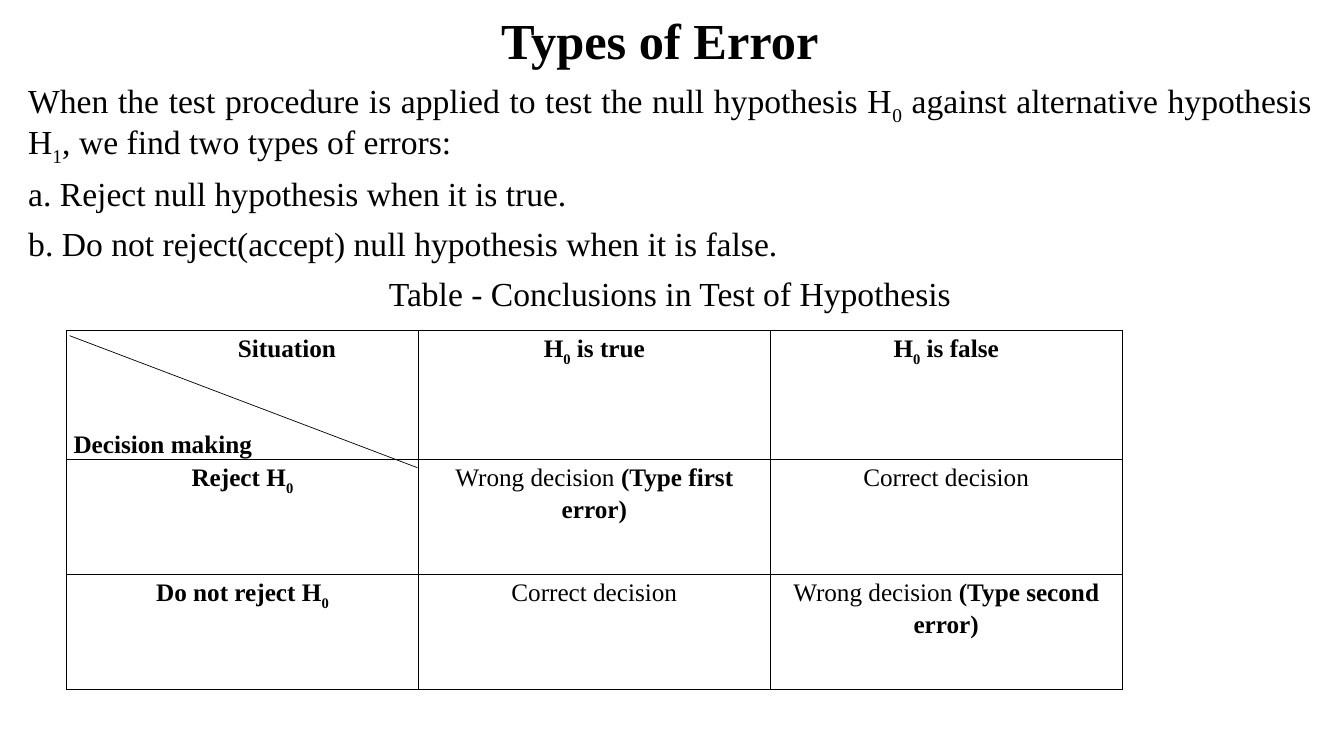
from lxml.etree import SubElement
from pptx import Presentation
from pptx.dml.color import RGBColor
from pptx.enum.shapes import MSO_CONNECTOR
from pptx.enum.text import MSO_ANCHOR as Anchor, MSO_AUTO_SIZE as AutoSize, PP_ALIGN as Align
from pptx.oxml.ns import qn
from pptx.util import Inches, Pt

BLACK = RGBColor(0, 0, 0)
FONT = "Times New Roman"
COLUMN_WIDTH = 3.49
ROW_HEIGHTS = [1.28, 1.14, 1.14]
TABLE_LEFT, TABLE_TOP = 0.66, 3.28

# In texts, "|" separates runs; a leading "_" marks a subscript, "*" a bold run
INTRODUCTION = [
    ("When the test procedure is applied to test the null hypothesis H|_0"
     "| against alternative hypothesis H|_1|, we find two types of errors:", Align.JUSTIFY),
    ("a. Reject null hypothesis when it is true.", Align.JUSTIFY),
    ("b. Do not reject(accept) null hypothesis when it is false.", Align.JUSTIFY),
    ("Table - Conclusions in Test of Hypothesis", Align.CENTER),
]
DECISIONS = [
    ["", "*H|*_0|* is true", "*H|*_0|* is false"],
    ["*Reject H|*_0", "Wrong decision |*(Type first error)", "Correct decision"],
    ["*Do not reject H|*_0", "Correct decision", "Wrong decision |*(Type second error)"],
]


def apply_format(target, values):
    for name, value in values.items():
        setattr(target, name, value)


def write_paragraph(paragraph, text, size, **layout):
    apply_format(paragraph, layout)
    for piece in text.split("|"):
        bold = piece.startswith("*")
        piece = piece.removeprefix("*")
        run = paragraph.add_run()
        run.text = piece.removeprefix("_")
        apply_format(run.font, {"name": FONT, "size": Pt(size), "bold": bold})
        run.font.color.rgb = BLACK
        if piece.startswith("_"):
            run._r.get_or_add_rPr().set("baseline", "-25000")


def write_paragraphs(frame, lines, size, **layout):
    for index, (text, alignment) in enumerate(lines):
        paragraph = frame.add_paragraph() if index else frame.paragraphs[0]
        write_paragraph(paragraph, text, size, alignment=alignment, **layout)


def place(shape, left, top, width, height):
    apply_format(shape, {"left": Inches(left), "top": Inches(top),
                         "width": Inches(width), "height": Inches(height)})


def fill_placeholder(shape, box, lines, size, frame_format, **layout):
    place(shape, *box)
    apply_format(shape.text_frame, {"word_wrap": True, "auto_size": AutoSize.NONE, **frame_format})
    write_paragraphs(shape.text_frame, lines, size, line_spacing=0.9, **layout)


def format_cell(cell):
    apply_format(cell, {"margin_left": Inches(0.07), "margin_right": Inches(0.07),
                        "margin_top": 0, "margin_bottom": 0})
    properties = cell._tc.get_or_add_tcPr()
    for side in ("lnL", "lnR", "lnT", "lnB"):
        border = SubElement(properties, qn(f"a:{side}"), w=str(Pt(1)))
        fill = SubElement(border, qn("a:solidFill"))
        SubElement(fill, qn("a:srgbClr"), val=str(BLACK))
    cell.fill.background()


def write_corner(cell):
    """Write both headings of the divided corner cell."""
    write_paragraphs(cell.text_frame, [("*Situation", Align.LEFT), ("*Decision making", Align.LEFT)],
                     18, line_spacing=1.15)
    situation, decision = cell.text_frame.paragraphs
    situation._p.get_or_add_pPr().set("marL", str(Inches(1.63)))
    decision.space_before = Pt(46)


def add_decision_table(slide):
    frame = slide.shapes.add_table(
        len(DECISIONS), len(DECISIONS[0]), Inches(TABLE_LEFT), Inches(TABLE_TOP),
        Inches(COLUMN_WIDTH * len(DECISIONS[0])), Inches(sum(ROW_HEIGHTS)))
    table = frame.table
    apply_format(table, {"first_row": False, "horz_banding": False})
    for column in table.columns:
        column.width = Inches(COLUMN_WIDTH)
    for row, height, texts in zip(table.rows, ROW_HEIGHTS, DECISIONS):
        row.height = Inches(height)
        for cell, text in zip(row.cells, texts):
            format_cell(cell)
            if text:
                write_paragraphs(cell.text_frame, [(text, Align.CENTER)], 18, line_spacing=1.15)
    write_corner(table.cell(0, 0))


def add_diagonal(slide, start, end):
    ends = [Inches(value) for value in (*start, *end)]
    line = slide.shapes.add_connector(MSO_CONNECTOR.STRAIGHT, *ends)
    line.line.color.rgb = BLACK
    line.line.width = Pt(0.5)
    SubElement(line._element.spPr, qn("a:effectLst"))


def main():
    presentation = Presentation()
    apply_format(presentation, {"slide_width": Inches(13.33), "slide_height": Inches(7.5)})
    slide = presentation.slides.add_slide(presentation.slide_layouts[0])
    title, body = slide.placeholders

    # Title and introduction; the wider right margin moves the title left
    fill_placeholder(title, (1.67, 0.08, 10, 0.67), [("*Types of Error", Align.CENTER)], 36,
                     {"vertical_anchor": Anchor.BOTTOM, "margin_right": Inches(0.35)})
    fill_placeholder(body, (0.18, 0.75, 12.93, 6.44), INTRODUCTION, 24,
                     {"vertical_anchor": Anchor.TOP}, space_before=Pt(10))

    # Table with its divided corner
    add_decision_table(slide)
    add_diagonal(slide, (0.69, 3.33), (4.14, 4.64))
    presentation.save("out.pptx")


main()
